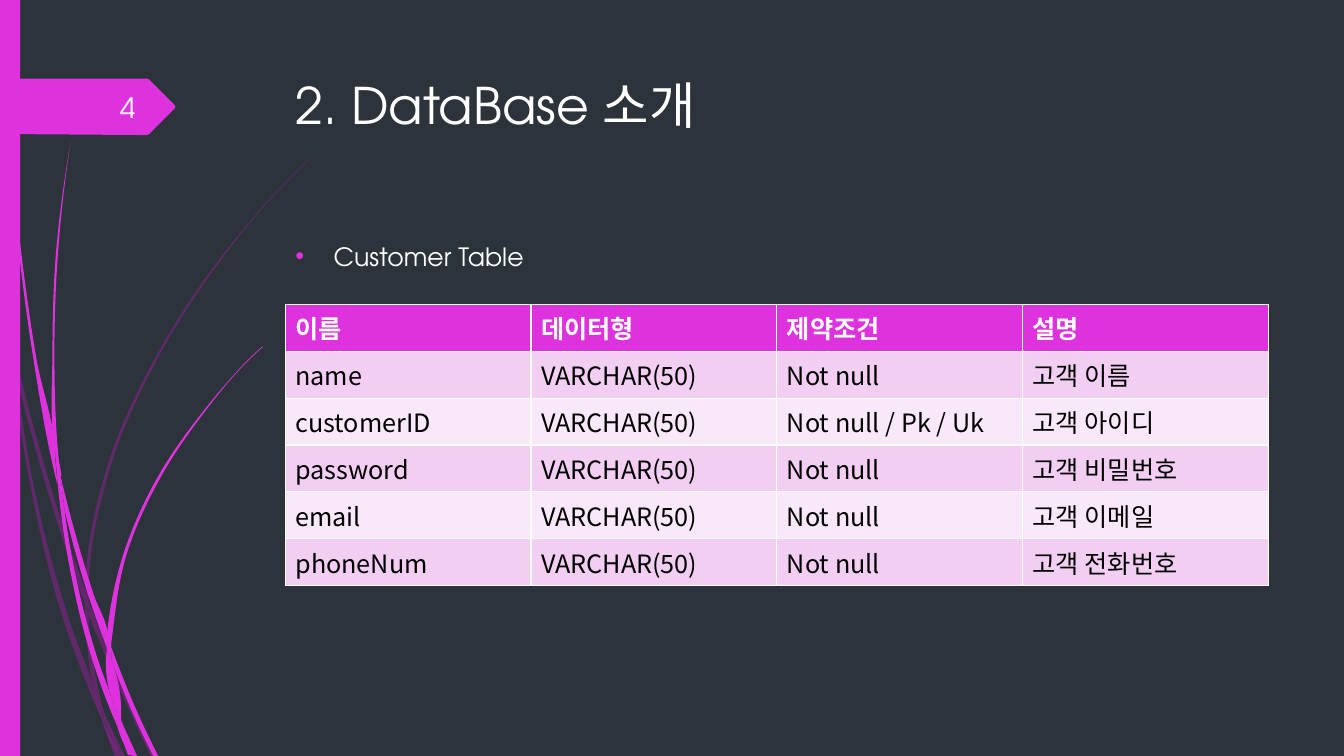
from dataclasses import dataclass
from itertools import pairwise

from lxml import etree
from pptx import Presentation
from pptx.dml.color import RGBColor
from pptx.enum.shapes import MSO_SHAPE
from pptx.enum.text import MSO_ANCHOR, PP_ALIGN
from pptx.oxml.ns import qn
from pptx.util import Pt

RECTANGLE = MSO_SHAPE.RECTANGLE
MIDDLE, TOP = MSO_ANCHOR.MIDDLE, MSO_ANCHOR.TOP
LEFT, RIGHT = PP_ALIGN.LEFT, PP_ALIGN.RIGHT
EMU_PER_PX = 9144
Point = tuple[float, float]


@dataclass(frozen=True)
class Theme:
    background: str = "2C333A"
    accent: str = "DE32DE"
    shade: str = "B01CB0"
    shade_alpha: int = 40
    light: str = "FFFFFF"
    dark: str = "000000"
    bands: tuple[str, str] = ("F2CEF2", "F9E8F9")
    heading_font: str = "TeX Gyre Adventor"
    korean_font: str = "Noto Sans CJK KR"
    bullet_font: str = "Arial"
    title_size: int = 36
    number_size: int = 20
    body_size: int = 18


@dataclass(frozen=True)
class Blade:
    up: list[Point]
    back: list[Point]


@dataclass(frozen=True)
class Label:
    text: str
    box: tuple[int, int, int, int]
    size: int
    anchor: MSO_ANCHOR = TOP
    align: PP_ALIGN = LEFT


THEME = Theme()

SHADED_BLADES = [
    Blade([(11, 350), (8, 322), (0, 282)], [(0, 299), (10, 344), (11, 350)]),
    Blade([(17, 376), (58, 522), (84, 599)], [(85, 586), (62, 520), (14, 345)]),
    Blade([(88, 610), (123, 693), (150, 751)], [(155, 751), (127, 691), (92, 607), (88, 596)]),
    Blade([(105, 711), (119, 751)], [(124, 751), (105, 711)]),
    Blade([(11, 350), (28, 470), (65, 621), (92, 693), (101, 714)],
          [(99, 707), (93, 683), (70, 619), (31, 469), (17, 376)]),
    Blade([(84, 599), (87, 646), (93, 683), (96, 692), (105, 711)],
          [(103, 706), (91, 646), (88, 610), (88, 608)]),
    Blade([(88, 596), (88, 584), (110, 462), (160, 349), (229, 245), (268, 198), (290, 175), (312, 153)],
          [(312, 153), (289, 175), (268, 197), (228, 244), (158, 348), (107, 461), (85, 584), (85, 586)]),
    Blade([(101, 714), (114, 751)], [(119, 751), (101, 714)]),
    Blade([(84, 599), (88, 608), (88, 610)], [(88, 596), (85, 586)]),
    Blade([(93, 683), (99, 707), (101, 714), (119, 751)], [(119, 751), (105, 711), (96, 692)]),
]
BRIGHT_BLADES = [
    Blade([(3, 0), (4, 48), (7, 110), (17, 233), (33, 355), (56, 477), (57, 481)],
          [(55, 457), (55, 453), (36, 355), (19, 232), (8, 109), (5, 48), (4, 0)]),
    Blade([(64, 505), (88, 592), (107, 645)], [(107, 633), (107, 631), (93, 590), (60, 472)]),
    Blade([(111, 656), (132, 708), (152, 750)], [(157, 750), (136, 706), (113, 649), (110, 641)]),
    Blade([(57, 477), (68, 557), (93, 659), (111, 708), (117, 722)],
          [(116, 717), (110, 691), (98, 657), (72, 556), (64, 505)]),
    Blade([(60, 472), (58, 453), (54, 349), (58, 245), (63, 193), (70, 141)],
          [(70, 141), (62, 193), (56, 245), (52, 349), (55, 449), (60, 471)]),
    Blade([(122, 719), (133, 750)], [(136, 750), (122, 719)]),
    Blade([(57, 477), (64, 505)], [(60, 472), (55, 449), (55, 453)]),
    Blade([(110, 641), (111, 633), (125, 552), (158, 476), (205, 406), (231, 374), (245, 359), (261, 344)],
          [(260, 344), (245, 358), (231, 373), (204, 405), (156, 474), (122, 551), (106, 631)]),
    Blade([(117, 722), (127, 749)], [(131, 749), (117, 722)]),
    Blade([(106, 645), (110, 691), (116, 706), (122, 719)], [(120, 716), (111, 656), (109, 651)]),
    Blade([(106, 645), (109, 651), (111, 656)], [(110, 641), (106, 631), (106, 633)]),
    Blade([(110, 691), (116, 717), (117, 722), (131, 750)], [(133, 750), (122, 719), (116, 706)]),
]
NUMBER_FLAG = [(0, 78), (146, 78), (148, 79), (173, 104), (174, 106), (173, 108),
               (148, 133), (146, 134), (136, 134), (0, 133)]

TITLE = Label("2. DataBase 소개", (283, 69, 975, 140), THEME.title_size)
SUBJECT = Label("Customer Table", (283, 234, 975, 413), THEME.body_size)
SLIDE_NUMBER = Label("4", (59, 86, 85, 40), THEME.number_size, MIDDLE, RIGHT)

TABLE_BOX = (283, 302, 975, 279)
HEADINGS = ("이름", "데이터형", "제약조건", "설명")
FIELD_TYPE = "VARCHAR(50)"
FIELDS = [
    ("name", FIELD_TYPE, "Not null", "고객 이름"),
    ("customerID", FIELD_TYPE, "Not null / Pk / Uk", "고객 아이디"),
    ("password", FIELD_TYPE, "Not null", "고객 비밀번호"),
    ("email", FIELD_TYPE, "Not null", "고객 이메일"),
    ("phoneNum", FIELD_TYPE, "Not null", "고객 전화번호"),
]


def px(length: float) -> int:
    return round(length * EMU_PER_PX)


def bezier_points(anchors: list[Point]) -> list[Point]:
    """Return two handles and an end for each span of a smooth curve."""
    spots = [complex(*anchor) for anchor in anchors]
    chords = [end - start for start, end in pairwise(spots)]
    units = [chord / abs(chord) for chord in chords]
    bends = [a / abs(a) ** 2 + b / abs(b) ** 2 for a, b in pairwise(chords)]
    tangents = [bend / abs(bend) for bend in bends] or units
    tangents = [units[0] ** 2 / tangents[0], *(tangents if bends else []), units[-1] ** 2 / tangents[-1]]
    points = []
    for i, chord in enumerate(chords):
        reach = abs(chord) / 3
        points += [spots[i] + reach * tangents[i], spots[i + 1] - reach * tangents[i + 1], spots[i + 1]]
    return [(point.real, point.imag) for point in points]


def paint(shape, color: str, alpha: int = 100) -> None:
    shape.shadow.inherit = False
    shape.fill.solid()
    shape.fill.fore_color.rgb = RGBColor.from_string(color)
    shape.line.fill.background()
    if alpha < 100:
        tint = shape.fill._xPr.find(f".//{qn('a:srgbClr')}")
        etree.SubElement(tint, qn("a:alpha")).set("val", str(alpha * 1000))


def draw_outline(slide, outline: list[Point], color: str, alpha: int = 100):
    first, *rest = [(px(x), px(y)) for x, y in outline]
    builder = slide.shapes.build_freeform(*first)
    builder.add_line_segments(rest)
    shape = builder.convert_to_shape()
    paint(shape, color, alpha)
    return shape


def draw_blade(slide, blade: Blade, color: str, alpha: int) -> None:
    turn = bezier_points([blade.up[-1], blade.back[0]]) if blade.up[-1] != blade.back[0] else []
    outline = [blade.up[0], *bezier_points(blade.up), *turn, *bezier_points(blade.back)]
    shape = draw_outline(slide, outline, color, alpha)
    steps = list(shape._element.iter(qn("a:lnTo")))
    for span in zip(steps[::3], steps[1::3], steps[2::3]):
        curve = etree.Element(qn("a:cubicBezTo"))
        span[0].addprevious(curve)
        for step in span:
            curve.append(step[0])
            step.getparent().remove(step)


def style(paragraph, font_name: str, size: int, color: str, bold: bool = False) -> None:
    font = paragraph.font
    font.name, font.size, font.bold = font_name, Pt(size), bold
    font.color.rgb = RGBColor.from_string(color)
    etree.SubElement(font._element, qn("a:ea")).set("typeface", THEME.korean_font)


def draw_label(slide, label: Label):
    frame = slide.shapes.add_textbox(*map(px, label.box)).text_frame
    frame.word_wrap, frame.vertical_anchor = True, label.anchor
    frame.text = label.text
    paragraph = frame.paragraphs[0]
    paragraph.alignment = label.align
    style(paragraph, THEME.heading_font, label.size, THEME.light)
    return paragraph


def add_bullet(paragraph) -> None:
    paragraph.space_before = Pt(10)
    props = paragraph._p.get_or_add_pPr()
    props.set("marL", str(px(38)))
    props.set("indent", str(px(-38)))
    color = etree.Element(qn("a:buClr"))
    etree.SubElement(color, qn("a:srgbClr")).set("val", THEME.accent)
    face = etree.Element(qn("a:buFont"), typeface=THEME.bullet_font)
    mark = etree.Element(qn("a:buChar"), char="•")
    for part in (color, face, mark):
        props.find(qn("a:defRPr")).addprevious(part)


def draw_borders(cell) -> None:
    props = cell._tc.get_or_add_tcPr()
    for place, side in enumerate(("lnL", "lnR", "lnT", "lnB")):
        line = etree.Element(qn(f"a:{side}"), w=str(Pt(1)))
        fill = etree.SubElement(line, qn("a:solidFill"))
        etree.SubElement(fill, qn("a:srgbClr")).set("val", THEME.light)
        props.insert(place, line)


def draw_field_table(slide) -> None:
    rows = [HEADINGS, *FIELDS]
    table = slide.shapes.add_table(len(rows), len(HEADINGS), *map(px, TABLE_BOX)).table
    table.horz_banding = False
    for r, row in enumerate(rows):
        heading = r == 0
        for c, text in enumerate(row):
            cell = table.cell(r, c)
            cell.text = text
            cell.fill.solid()
            cell.fill.fore_color.rgb = RGBColor.from_string(THEME.accent if heading else THEME.bands[(r - 1) % 2])
            style(cell.text_frame.paragraphs[0], THEME.korean_font, THEME.body_size,
                  THEME.light if heading else THEME.dark, heading)
            draw_borders(cell)


def main() -> None:
    deck = Presentation()
    deck.slide_width, deck.slide_height = px(1333), px(750)
    slide = deck.slides.add_slide(deck.slide_layouts[6])
    slide.background.fill.solid()
    slide.background.fill.fore_color.rgb = RGBColor.from_string(THEME.background)
    for blade in SHADED_BLADES:
        draw_blade(slide, blade, THEME.shade, THEME.shade_alpha)
    for blade in BRIGHT_BLADES:
        draw_blade(slide, blade, THEME.accent, 100)
    paint(slide.shapes.add_shape(RECTANGLE, 0, 0, px(20), px(750)), THEME.accent)
    draw_outline(slide, NUMBER_FLAG, THEME.accent)
    draw_label(slide, TITLE)
    add_bullet(draw_label(slide, SUBJECT))
    draw_field_table(slide)
    draw_label(slide, SLIDE_NUMBER)
    deck.save("out.pptx")


if __name__ == "__main__":
    main()
